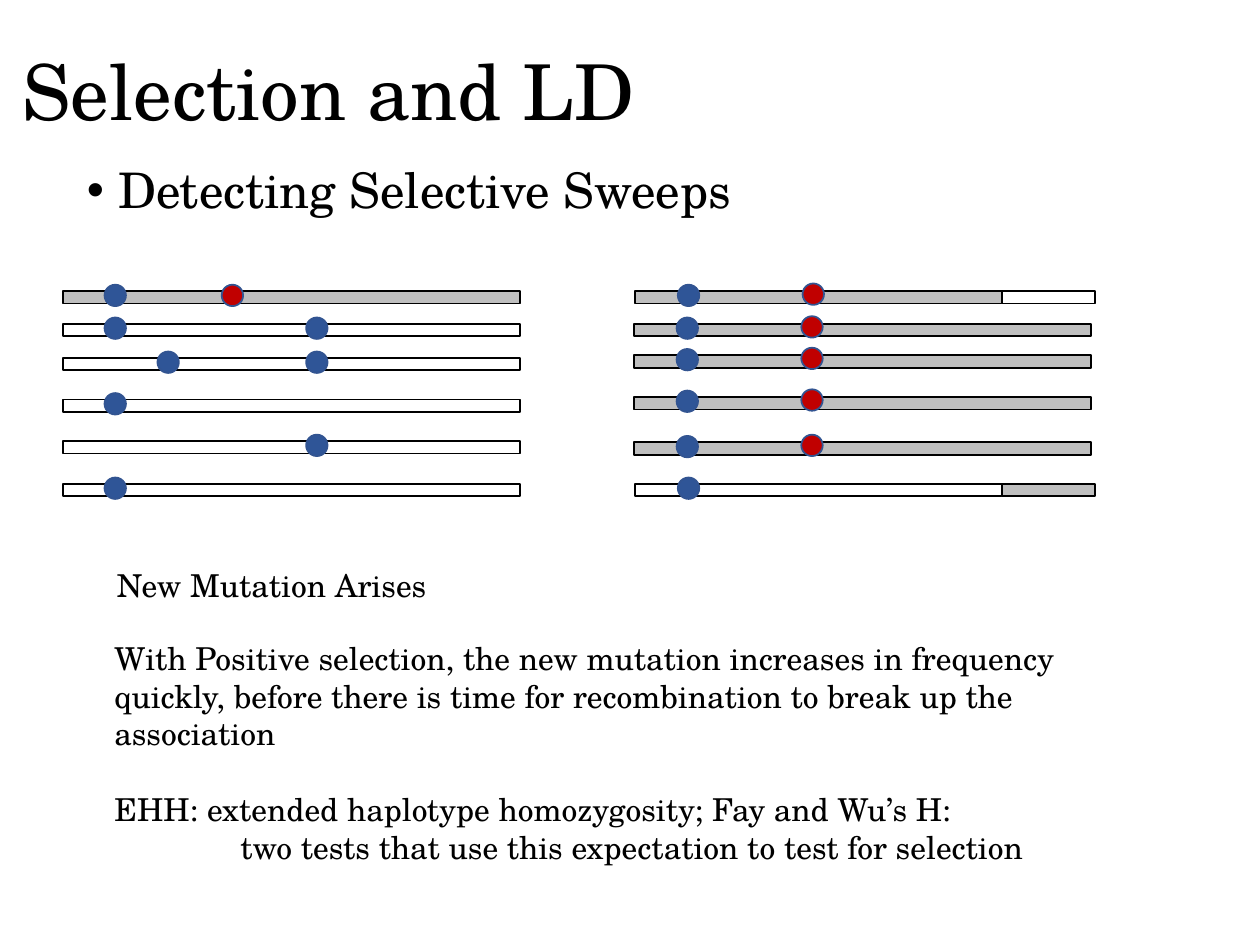
"""Build the slide on selection, linkage disequilibrium and selective sweeps."""
import pptx
import pptx.dml.color
import pptx.enum.shapes
import pptx.enum.text
import pptx.oxml
import pptx.oxml.ns
import pptx.util
from dataclasses import dataclass

Inches = pptx.util.Inches
Pt = pptx.util.Pt
Kind = pptx.enum.shapes.MSO_SHAPE
Anchor = pptx.enum.text.MSO_ANCHOR


@dataclass(frozen=True)
class Theme:
    font: str = "TeX Gyre Schola"
    text: str = "000000"
    outline: str = "000000"
    swept: str = "BFBFBF"
    plain: str = "FFFFFF"
    neutral: str = "2F5597"
    selected: str = "C00000"
    dot_outline: str = "325491"
    title_size: int = 44
    bullet_size: int = 28
    body_size: int = 18


THEME = Theme()

TEXTS = [
    dict(box=(0.08, 0.13, 8.62, 1.26), size=THEME.title_size, anchor=Anchor.MIDDLE,
         spacing=0.9, paragraphs=[dict(text="Selection and LD")]),
    dict(box=(0.59, 1.27, 8.62, 0.61), size=THEME.bullet_size, spacing=0.9,
         paragraphs=[dict(text="Detecting Selective Sweeps", bullet="•", margin=0.25)]),
    dict(box=(0.83, 4.44, 2.69, 0.4), size=THEME.body_size, wrap=False,
         paragraphs=[dict(text="New Mutation Arises")]),
    dict(box=(0.81, 5.02, 7.8, 1.92), size=THEME.body_size, paragraphs=[
        dict(text="With Positive selection, the new mutation increases in frequency quickly, "
                  "before there is time for recombination to break up the association"),
        dict(text="EHH: extended haplotype homozygosity; Fay and Wu’s H:", before=21.6),
        dict(text="two tests that use this expectation to test for selection", margin=1),
    ]),
]

BAR_WIDTH, BAR_HEIGHT, DOT_SIZE = 3.63, 0.1, 0.17
TAIL_OFFSET, TAIL_WIDTH = 2.91, 0.74
NEUTRAL_LIFT = 0.05
BEFORE_LEFT, AFTER_LEFT = 0.5, 5.03
BEFORE = dict(left=BEFORE_LEFT, selected_lift=0.05)
AFTER = dict(left=AFTER_LEFT, selected_lift=0.06, neutral=[0.34])
SWEPT = dict(AFTER, fill=THEME.swept, selected=[1.33])
RECOMBINED_LEFT = AFTER_LEFT + 0.01

HAPLOTYPES = [
    dict(BEFORE, top=2.31, fill=THEME.swept, neutral=[0.33], selected=[1.26]),
    dict(BEFORE, top=2.57, neutral=[0.33, 1.93]),
    dict(BEFORE, top=2.84, neutral=[0.75, 1.93]),
    dict(BEFORE, top=3.17, neutral=[0.33]),
    dict(BEFORE, top=3.5, neutral=[1.93]),
    dict(BEFORE, top=3.84, neutral=[0.33]),
    dict(SWEPT, top=2.31, left=RECOMBINED_LEFT, tail=THEME.plain),
    *[dict(SWEPT, top=top) for top in (2.57, 2.82, 3.15, 3.51)],
    dict(AFTER, top=3.84, left=RECOMBINED_LEFT, tail=THEME.swept),
]


def color(value):
    return pptx.dml.color.RGBColor.from_string(value)


def add_text(slide, box, size, paragraphs, anchor=Anchor.TOP, spacing=None, wrap=True):
    frame = slide.shapes.add_textbox(*map(Inches, box)).text_frame
    frame.word_wrap = wrap
    frame.vertical_anchor = anchor
    for index, content in enumerate(paragraphs):
        paragraph = frame.add_paragraph() if index else frame.paragraphs[0]
        if spacing:
            paragraph.line_spacing = spacing
        if "before" in content:
            paragraph.space_before = Pt(content["before"])
        properties = paragraph._p.get_or_add_pPr()
        margin = Inches(content.get("margin", 0))
        properties.set("marL", str(margin))
        if "bullet" in content:
            properties.set("indent", str(-margin))
            for tag, name, value in (("a:buFont", "typeface", "Arial"),
                                     ("a:buChar", "char", content["bullet"])):
                element = pptx.oxml.parse_xml(f"<{tag} {pptx.oxml.ns.nsdecls('a')}/>")
                element.set(name, value)
                properties.append(element)
        run = paragraph.add_run()
        run.text = content["text"]
        run.font.name = THEME.font
        run.font.size = Pt(size)
        run.font.color.rgb = color(THEME.text)


def add_shape(group, kind, box, fill, outline):
    shape = group.shapes.add_shape(kind, *map(Inches, box))
    shape.shadow.inherit = False
    if fill:
        shape.fill.solid()
        shape.fill.fore_color.rgb = color(fill)
    else:
        shape.fill.background()
    shape.line.color.rgb = color(outline)
    shape.line.width = Pt(1)


def add_haplotype(slide, left, top, selected_lift, neutral, selected=(), fill=None, tail=None):
    group = slide.shapes.add_group_shape()
    add_shape(group, Kind.RECTANGLE, (left, top, BAR_WIDTH, BAR_HEIGHT), fill, THEME.outline)
    if tail:
        add_shape(group, Kind.RECTANGLE, (left + TAIL_OFFSET, top, TAIL_WIDTH, BAR_HEIGHT),
                  tail, THEME.outline)
    for offsets, lift, dot_fill in ((neutral, NEUTRAL_LIFT, THEME.neutral),
                                    (selected, selected_lift, THEME.selected)):
        for offset in offsets:
            add_shape(group, Kind.OVAL, (left + offset, top - lift, DOT_SIZE, DOT_SIZE),
                      dot_fill, THEME.dot_outline)


def main():
    presentation = pptx.Presentation()
    presentation.slide_width, presentation.slide_height = Inches(10), Inches(7.5)
    slide = presentation.slides.add_slide(presentation.slide_layouts[6])
    for text in TEXTS:
        add_text(slide, **text)
    for haplotype in HAPLOTYPES:
        add_haplotype(slide, **haplotype)
    presentation.save("out.pptx")


if __name__ == "__main__":
    main()
